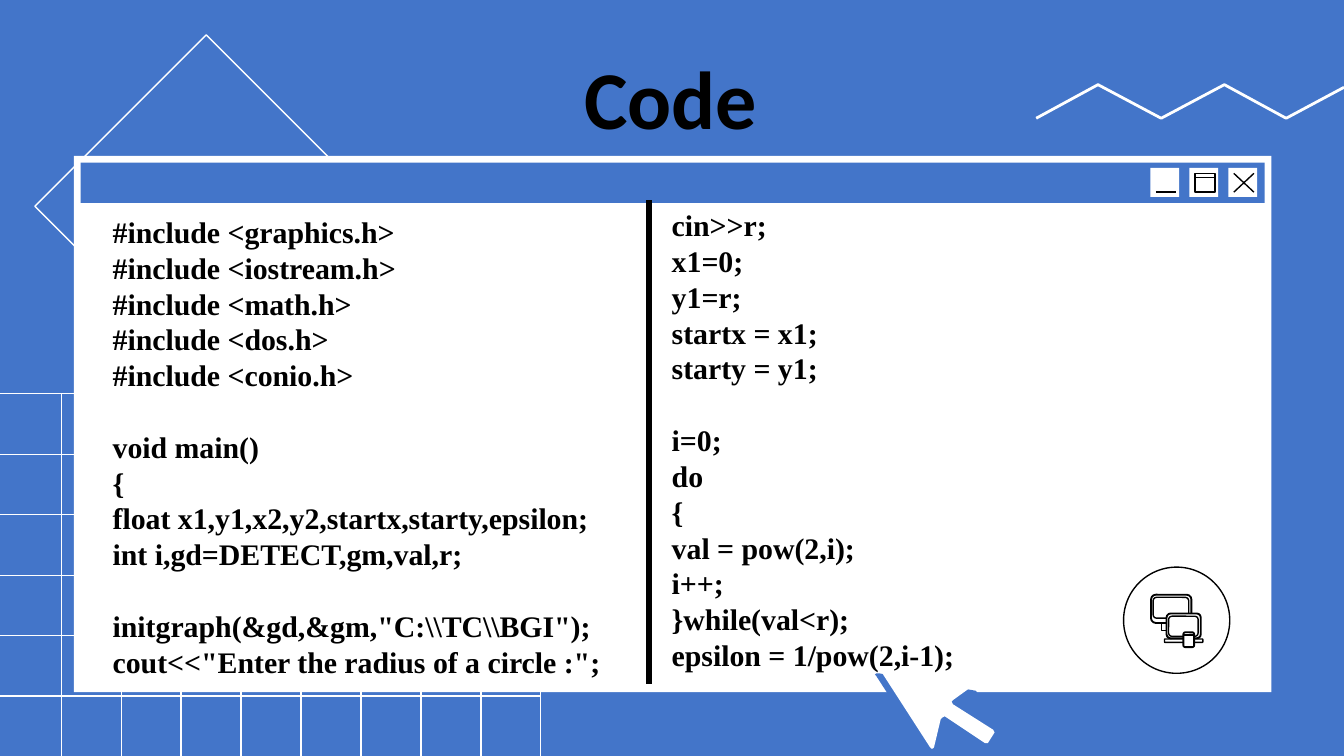
"""Build the code slide on a grid of 1000 columns by 562.5 rows."""
from dataclasses import dataclass
from typing import Optional

from lxml.etree import SubElement
from pptx import Presentation
from pptx.dml.color import RGBColor
from pptx.enum.shapes import MSO_CONNECTOR, MSO_SHAPE
from pptx.enum.text import MSO_ANCHOR, PP_ALIGN
from pptx.oxml.ns import qn
from pptx.util import Emu, Pt

CELL = 9144
COLS, ROWS = 1000, 562.5
BLUE, WHITE, BLACK = "4375C9", "FFFFFF", "000000"
PITCH = 19.2


@dataclass
class Box:
    left: float
    top: float
    width: float
    height: float
    fill: Optional[str] = None
    line: Optional[str] = None
    weight: float = 0.75
    kind: MSO_SHAPE = MSO_SHAPE.RECTANGLE


@dataclass
class Rule:
    x1: float
    y1: float
    x2: float
    y2: float
    color: str = BLACK
    weight: float = 0.75


@dataclass
class Listing:
    left: float
    top: float
    width: float
    blocks: list[str]


def cells(*counts: float) -> list[Emu]:
    return [Emu(round(count * CELL)) for count in counts]


def paint(target, color: Optional[str]) -> None:
    if color is None:
        target.background()
    else:
        target.solid()
        target.fore_color.rgb = RGBColor.from_string(color)


def style(shape, fill: Optional[str], line: Optional[str], weight: float) -> None:
    shape.shadow.inherit = False
    paint(shape.fill, fill)
    paint(shape.line.fill, line)
    if line:
        shape.line.width = Pt(weight)


def draw_box(box: Box) -> None:
    shape = slide.shapes.add_shape(
        box.kind, *cells(box.left, box.top, box.width, box.height))
    style(shape, box.fill, box.line, box.weight)


def draw_rule(rule: Rule) -> None:
    line = slide.shapes.add_connector(
        MSO_CONNECTOR.STRAIGHT, *cells(rule.x1, rule.y1, rule.x2, rule.y2))
    paint(line.line.fill, rule.color)
    line.line.width = Pt(rule.weight)
    SubElement(line._element.spPr, qn("a:effectLst"))


def draw_path(points: list[tuple[float, float]], fill: Optional[str] = None,
              line: Optional[str] = None, weight: float = 0.75,
              close: bool = True) -> None:
    path = slide.shapes.build_freeform(*points[0], scale=CELL)
    path.add_line_segments(points[1:], close=close)
    style(path.convert_to_shape(), fill, line, weight)


def set_font(font, name: str, size: float) -> None:
    font.name, font.size, font.bold = name, Pt(size), True
    font.color.rgb = RGBColor.from_string(BLACK)


def draw_code(code: Listing) -> None:
    shape = slide.shapes.add_textbox(*cells(code.left, code.top, code.width, 387))
    frame = shape.text_frame
    frame.word_wrap = True
    frame.text = "\n".join(code.blocks)
    starts = {block.splitlines()[0] for block in code.blocks[1:]}
    for para in frame.paragraphs:
        set_font(para.font, "Times New Roman", 16)
        para.line_spacing = Pt(PITCH)
        if para.text in starts:
            para.space_before = Pt(PITCH)


def draw_title(text: str) -> None:
    title = slide.shapes.title
    title.left, title.top, title.width, title.height = cells(78, 46, 842, 52)
    frame = title.text_frame
    frame.text = text
    frame.vertical_anchor = MSO_ANCHOR.MIDDLE
    para = frame.paragraphs[0]
    para.alignment = PP_ALIGN.CENTER
    set_font(para.font, "Calibri", 44)


deck = Presentation()
deck.slide_width, deck.slide_height = cells(COLS, ROWS)
slide = deck.slides.add_slide(deck.slide_layouts[5])
paint(slide.background.fill, BLUE)
draw_title("Code")

draw_box(Box(26, 26, 255, 255, line=WHITE, kind=MSO_SHAPE.DIAMOND))
STEP = 44.6
for col in range(9):
    x = 45.6 + col * STEP
    draw_rule(Rule(x, 293, x, ROWS, WHITE))
for row in range(6):
    y = 293 + row * 45
    draw_rule(Rule(0, y, 402, y, WHITE))

for box in (Box(55, 116, 891, 399, WHITE), Box(60, 121, 881, 30, BLUE)):
    draw_box(box)
for index in range(3):
    draw_box(Box(856 + index * 29, 125, 21.5, 21.5, WHITE))
draw_box(Box(889, 129, 15, 14, line=BLACK))
for rule in (Rule(860, 143, 875, 143), Rule(889, 132, 904, 132),
             Rule(918, 143, 933, 129), Rule(918, 129, 933, 143)):
    draw_rule(rule)

peaks = [(771 + round(46.5 * turn), 63 if turn % 2 else 88) for turn in range(5)]
draw_path(peaks + [(1000, 65)], line=WHITE, weight=1.5, close=False)

draw_box(Box(836, 422, 79, 79, line=BLACK, kind=MSO_SHAPE.OVAL))
ROUND = MSO_SHAPE.ROUNDED_RECTANGLE
for part in (Box(864, 464, 8, 5, WHITE, BLACK),
             Box(856.5, 442.5, 30, 21, WHITE, BLACK, 1, ROUND),
             Box(858, 444.5, 26.5, 15.5, WHITE, BLACK, 0.75, ROUND),
             Box(866.5, 475.5, 28.5, 2.5, WHITE, BLACK, 0.75, ROUND),
             Box(868, 456.5, 25.5, 18.5, WHITE, BLACK, 1, ROUND),
             Box(869.5, 458.5, 22, 15, WHITE, BLACK, 0.75, ROUND),
             Box(880.5, 470.5, 8, 11, WHITE, BLACK, 1, ROUND)):
    draw_box(part)
draw_rule(Rule(881, 472.5, 888, 472.5))

ARROW = [(652, 492), (651, 493), (652, 494), (692, 556), (693, 557), (694, 557),
         (695, 556), (700, 535), (701, 534), (703, 533), (733, 553), (734, 553),
         (735, 553), (740, 545), (739, 543), (709, 524), (708, 522), (709, 521),
         (727, 508), (727, 506), (726, 505), (654, 492)]
for drop, color in ((9, BLUE), (0, WHITE)):
    draw_path([(x, y + drop) for x, y in ARROW], fill=color)

for code in (
    Listing(74, 154, 390, [
        "#include <graphics.h>\n#include <iostream.h>\n#include <math.h>\n"
        "#include <dos.h>\n#include <conio.h>",
        "void main()\n{\nfloat x1,y1,x2,y2,startx,starty,epsilon;\n"
        "int i,gd=DETECT,gm,val,r;",
        'initgraph(&gd,&gm,"C:\\\\TC\\\\BGI");\n'
        'cout<<"Enter the radius of a circle :";']),
    Listing(490, 149, 500, [
        "cin>>r;\nx1=0;\ny1=r;\nstartx = x1;\nstarty = y1;",
        "i=0;\ndo\n{\nval = pow(2,i);\ni++;\n}while(val<r);\n"
        "epsilon = 1/pow(2,i-1);"]),
):
    draw_code(code)
draw_rule(Rule(483, 149, 483, 509, BLACK, 3))

deck.save("out.pptx")
